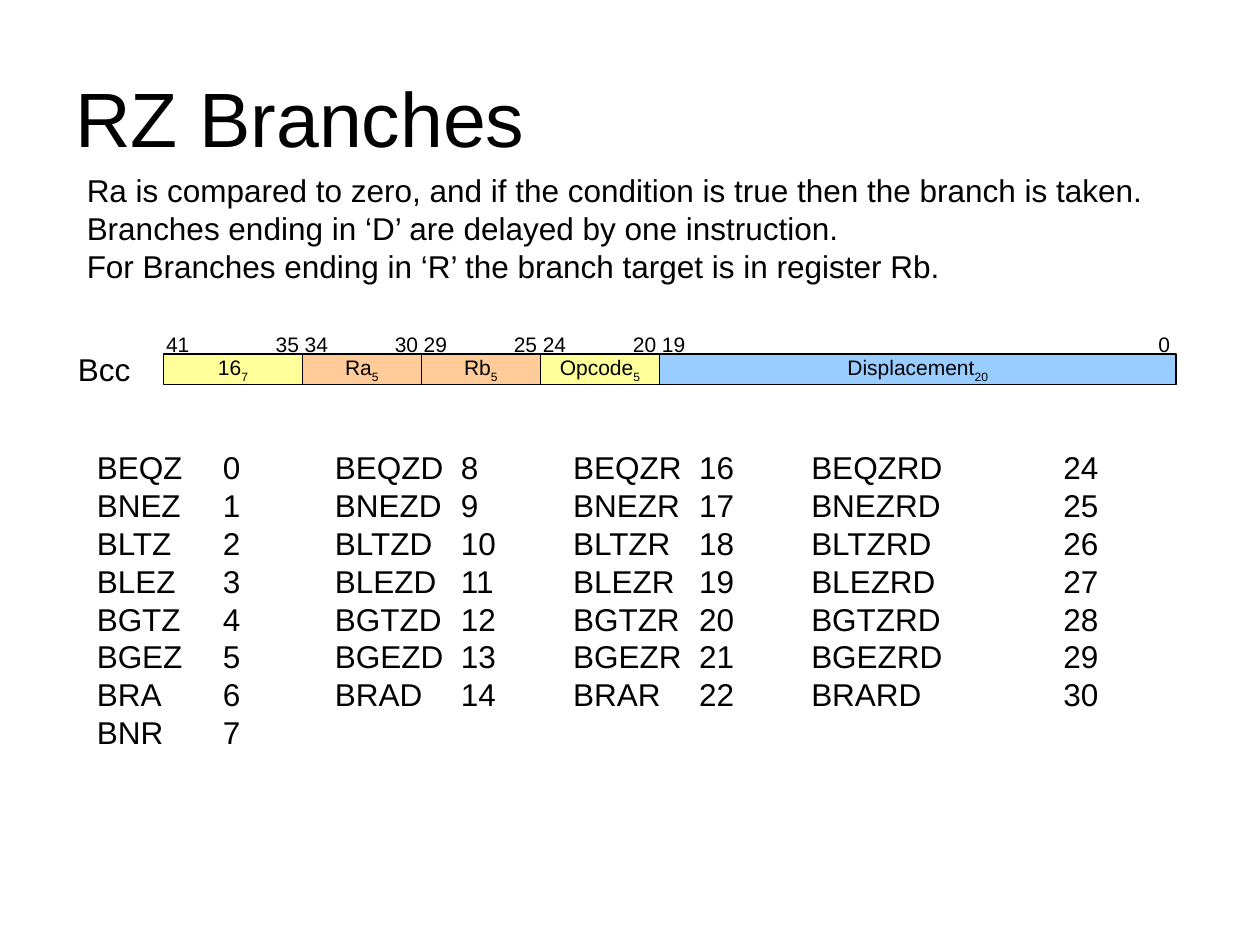
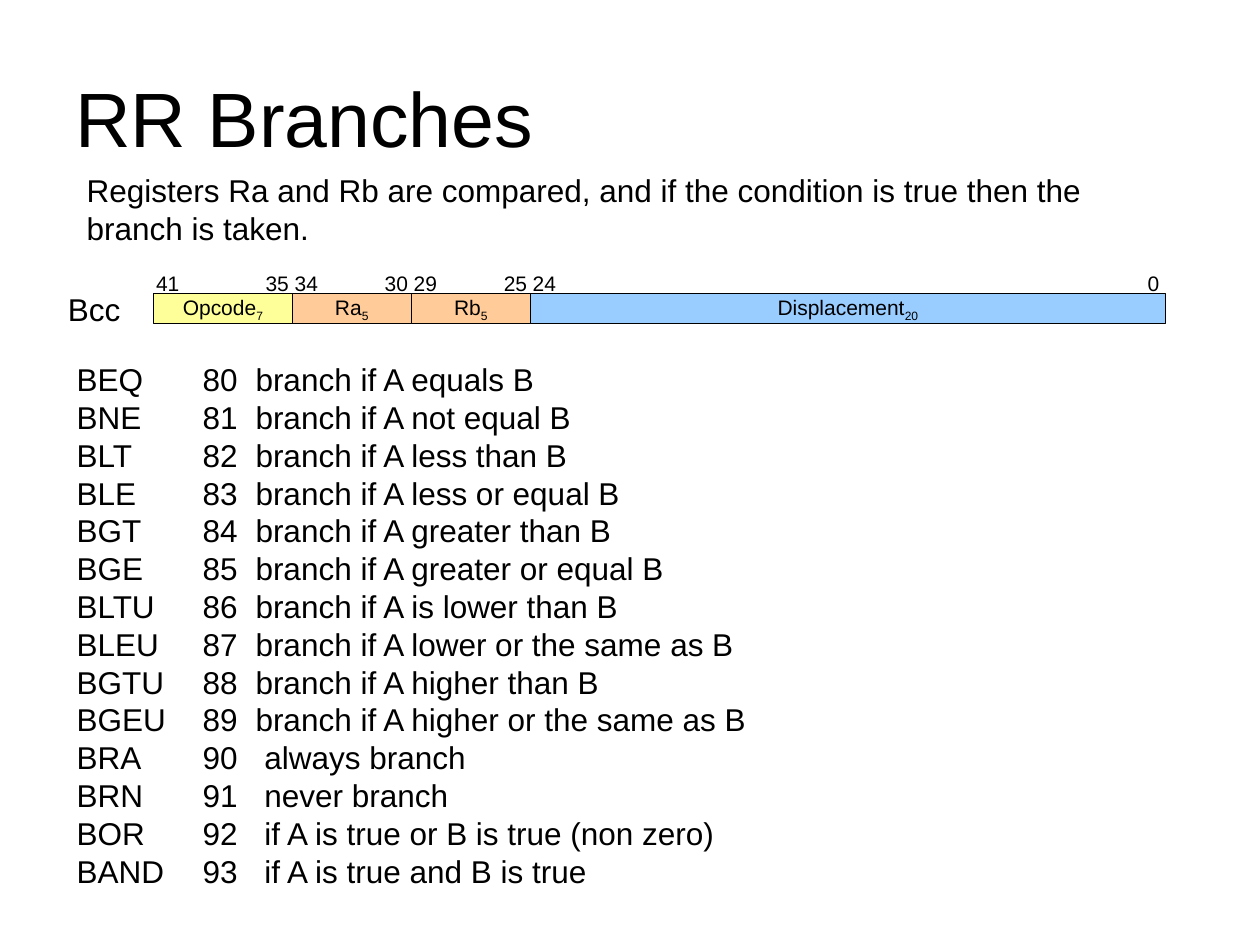
from dataclasses import dataclass

from lxml.etree import SubElement
from pptx import Presentation
from pptx.dml.color import RGBColor
from pptx.enum.shapes import MSO_SHAPE as Preset
from pptx.enum.text import MSO_ANCHOR as Anchor, MSO_AUTO_SIZE as AutoSize, PP_ALIGN as Align
from pptx.oxml.ns import qn
from pptx.slide import Slide
from pptx.util import Inches, Pt

COLORS = {
    "text": "000000",
    "opcode": "FFFF99",
    "register": "FFCC99",
    "displacement": "99CCFF",
}
FONT = "Arial"
TITLE_SIZE, BODY_SIZE, FIELD_SIZE = 44, 18, 12
LINE_HEIGHT = 0.3

COLUMN_PITCH = 1.89
REGISTER_WIDTH = COLUMN_PITCH / 2
OPCODE_WIDTH = 1.1
FIELD_HEIGHT = 0.24


@dataclass(frozen=True)
class Field:
    name: str
    bits: int
    high: int
    low: int
    width: float
    role: str


@dataclass(frozen=True)
class BranchColumn:
    suffix: str
    first_code: int
    width: float
    code_tab: float = 1.0


RA = Field("Ra", 5, 34, 30, REGISTER_WIDTH, "register")
RB = Field("Rb", 5, 29, 25, REGISTER_WIDTH, "register")

RZ_FIELDS = [
    Field("16", 7, 41, 35, OPCODE_WIDTH, "opcode"),
    RA,
    RB,
    Field("Opcode", 5, 24, 20, REGISTER_WIDTH, "opcode"),
    Field("Displacement", 20, 19, 0, 4.1, "displacement"),
]
RR_FIELDS = [
    Field("Opcode", 7, 41, 35, OPCODE_WIDTH, "opcode"),
    RA,
    RB,
    Field("Displacement", 20, 24, 0, 5.04, "displacement"),
]

RZ_CONDITIONS = ["BEQZ", "BNEZ", "BLTZ", "BLEZ", "BGTZ", "BGEZ", "BRA"]
RZ_COLUMNS = [
    BranchColumn("", 0, 1.34),
    BranchColumn("D", 8, 1.48),
    BranchColumn("R", 16, 1.48),
    BranchColumn("RD", 24, 2.48, code_tab=2.0),
]
RZ_NOTES = [
    "Ra is compared to zero, and if the condition is true then the branch is taken.",
    "Branches ending in ‘D’ are delayed by one instruction.",
    "For Branches ending in ‘R’ the branch target is in register Rb.",
]

RR_FIRST_CODE = 80
RR_COMPARISONS = [
    ("BEQ", "equals B"),
    ("BNE", "not equal B"),
    ("BLT", "less than B"),
    ("BLE", "less or equal B"),
    ("BGT", "greater than B"),
    ("BGE", "greater or equal B"),
    ("BLTU", "is lower than B"),
    ("BLEU", "lower or the same as B"),
    ("BGTU", "higher than B"),
    ("BGEU", "higher or the same as B"),
]
RR_OTHERS = [
    ("BRA", "always branch"),
    ("BRN", "never branch"),
    ("BOR", "if A is true or B is true (non zero)"),
    ("BAND", "if A is true and B is true"),
]
RR_NOTE = "Registers Ra and Rb are compared, and if the condition is true then the branch is taken."


def style_font(font, size: float) -> None:
    font.name = FONT
    font.size = Pt(size)
    font.color.rgb = RGBColor.from_string(COLORS["text"])


def set_tabs(paragraph, stops: list[float]) -> None:
    tab_list = SubElement(paragraph._p.get_or_add_pPr(), qn("a:tabLst"))
    for stop in stops:
        SubElement(tab_list, qn("a:tab"), pos=str(Inches(stop)), algn="l")


def add_lines(slide: Slide, lines: list[str], left: float, top: float, width: float,
              height: float, size: float = BODY_SIZE, wrap: bool = False):
    """Add a text box with one paragraph per line and return its text frame."""
    box = slide.shapes.add_textbox(Inches(left), Inches(top), Inches(width), Inches(height))
    frame = box.text_frame
    frame.text = "\n".join(lines)
    frame.word_wrap = wrap
    frame.auto_size = AutoSize.SHAPE_TO_FIT_TEXT
    for paragraph in frame.paragraphs:
        for run in paragraph.runs:
            style_font(run.font, size)
    return frame


def add_list(slide: Slide, lines: list[str], left: float, top: float, width: float,
             line_tabs: list[list[float]]) -> None:
    """Add tabbed lines, each with its own tab stops."""
    frame = add_lines(slide, lines, left, top, width, LINE_HEIGHT * len(lines) + 0.1)
    for paragraph, stops in zip(frame.paragraphs, line_tabs):
        set_tabs(paragraph, stops)


def add_title(slide: Slide, title: str) -> None:
    frame = add_lines(slide, [title], 0.5, 0.3, 9, 1.25, TITLE_SIZE, wrap=True)
    frame.auto_size = AutoSize.NONE
    frame.vertical_anchor = Anchor.MIDDLE


def add_field(slide: Slide, field: Field, left: float, top: float) -> None:
    bar = slide.shapes.add_shape(Preset.RECTANGLE, Inches(left), Inches(top),
                                 Inches(field.width), Inches(FIELD_HEIGHT))
    bar.shadow.inherit = False
    bar.fill.solid()
    bar.fill.fore_color.rgb = RGBColor.from_string(COLORS[field.role])
    bar.line.color.rgb = RGBColor.from_string(COLORS["text"])
    bar.line.width = Pt(0.75)
    frame = bar.text_frame
    frame.word_wrap = False
    frame.vertical_anchor = Anchor.MIDDLE
    paragraph = frame.paragraphs[0]
    paragraph.alignment = Align.CENTER
    for text in (field.name, str(field.bits)):
        run = paragraph.add_run()
        run.text = text
        style_font(run.font, FIELD_SIZE)
    run._r.get_or_add_rPr().set("baseline", "-25000")


def add_bit_number(slide: Slide, bit: int, left: float, top: float) -> None:
    width = 0.4 if bit > 9 else 0.3
    add_lines(slide, [str(bit)], left, top, width, LINE_HEIGHT, FIELD_SIZE)


def add_instruction_format(slide: Slide, fields: list[Field], left: float, top: float) -> None:
    """Draw the instruction word as adjoining fields with bit numbers above."""
    add_lines(slide, ["Bcc"], left - 0.78, top - 0.08, 0.65, 0.4)
    numbers_top = top - 0.23
    for field in fields:
        right = left + field.width
        add_field(slide, field, left, top)
        add_bit_number(slide, field.high, left - 0.08, numbers_top)
        add_bit_number(slide, field.low, right - (0.31 if field.low > 9 else 0.24), numbers_top)
        left = right


def build_rz_branches(slide: Slide) -> None:
    add_title(slide, "RZ Branches")
    add_instruction_format(slide, RZ_FIELDS, 1.3, 2.81)
    for index, column in enumerate(RZ_COLUMNS):
        names = [condition + column.suffix for condition in RZ_CONDITIONS]
        if not column.suffix:
            names.append("BNR")
        lines = [f"{name}\t{code}" for code, name in enumerate(names, column.first_code)]
        add_list(slide, lines, 0.67 + index * COLUMN_PITCH, 3.51, column.width,
                 [[column.code_tab]] * len(lines))
    add_lines(slide, RZ_NOTES, 0.59, 1.31, 8.58, 1)


def build_rr_branches(slide: Slide) -> None:
    add_title(slide, "RR Branches")
    add_instruction_format(slide, RR_FIELDS, 1.22, 2.33)
    branches = [(name, f"branch if A {test}") for name, test in RR_COMPARISONS] + RR_OTHERS
    lines = [f"{name}\t{code}\t{meaning}"
             for code, (name, meaning) in enumerate(branches, RR_FIRST_CODE)]
    line_tabs = [[1, 1.42]] * len(RR_COMPARISONS) + [[1, 1.49]] * len(RR_OTHERS)
    add_list(slide, lines, 0.51, 2.81, 5.53, line_tabs)
    add_lines(slide, [RR_NOTE], 0.59, 1.31, 8.66, 0.7, wrap=True)


def main() -> None:
    deck = Presentation()
    deck.slide_width, deck.slide_height = Inches(10), Inches(7.5)
    blank = deck.slide_layouts[6]
    for build in (build_rz_branches, build_rr_branches):
        build(deck.slides.add_slide(blank))
    deck.save("out.pptx")


if __name__ == "__main__":
    main()
